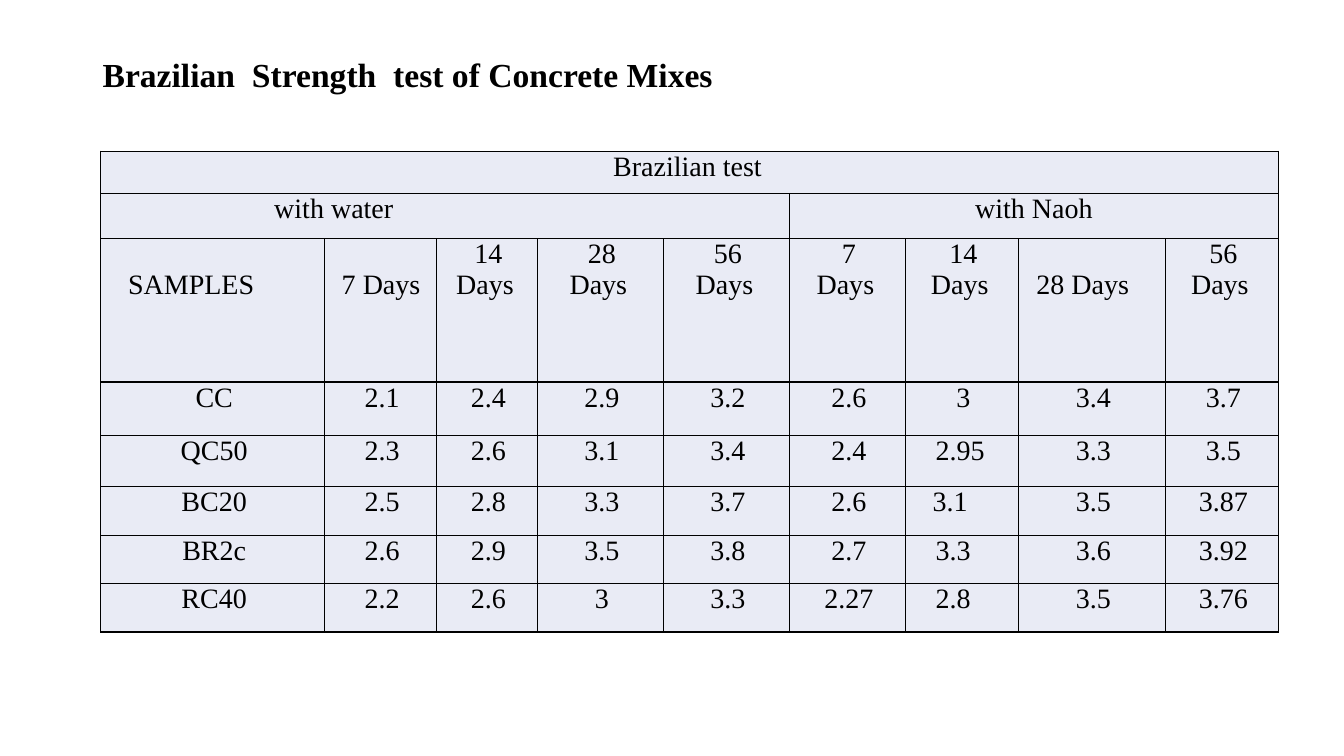
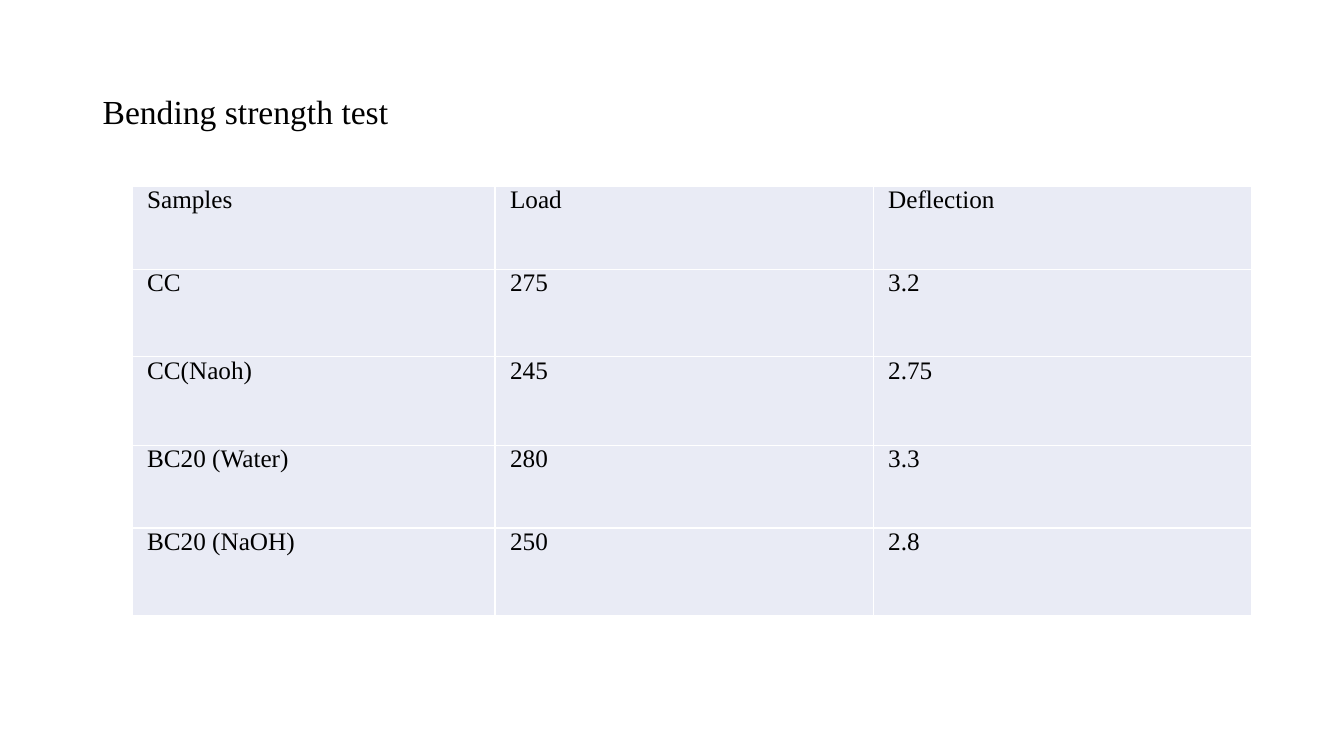
from dataclasses import dataclass

from lxml import etree
from pptx import Presentation
from pptx.dml.color import RGBColor
from pptx.enum.text import MSO_ANCHOR, PP_ALIGN
from pptx.oxml.ns import qn
from pptx.util import Inches, Pt

LEFT, CENTER = PP_ALIGN.LEFT, PP_ALIGN.CENTER
TOP, MIDDLE = MSO_ANCHOR.TOP, MSO_ANCHOR.MIDDLE

# Shared look
SLIDE_W, SLIDE_H = 13.33, 7.5
FONT = "Times New Roman"
INK, PAPER, CELL_FILL = "000000", "FFFFFF", "E9EBF5"
TITLE_BOX = (0.92, 0.4, 11.5, 1.45)
TITLE_SIZE = 24
INSET = 0.07
BORDER_PT = 1
BORDER_SIDES = ("lnL", "lnR", "lnT", "lnB")


@dataclass(frozen=True)
class Entry:
    """Cell text with its placing; span counts columns."""
    text: str
    align: int = CENTER
    indent: float = 0.03
    drop: float = 0
    span: int = 1


@dataclass(frozen=True)
class Grid:
    left: float
    top: float
    columns: list[float]
    rows: list[float]
    entries: list[list[Entry]]
    size: int
    border: str


@dataclass(frozen=True)
class Page:
    title: str
    bold: bool
    title_lift: float
    grid: Grid


def color(hex_value: str) -> RGBColor:
    return RGBColor.from_string(hex_value)


def style_text(paragraph, size: float, bold: bool = False) -> None:
    for name, value in {"name": FONT, "size": Pt(size), "bold": bold}.items():
        setattr(paragraph.font, name, value)
    paragraph.font.color.rgb = color(INK)


def add_title(slide, page: Page) -> None:
    frame = slide.shapes.add_textbox(*map(Inches, TITLE_BOX)).text_frame
    layout = {
        "word_wrap": True,
        "vertical_anchor": MIDDLE,
        "margin_bottom": Inches(0.05 + 2 * page.title_lift),
    }
    for name, value in layout.items():
        setattr(frame, name, value)
    heading = frame.paragraphs[0]
    heading.text = page.title
    heading.line_spacing = 0.9
    style_text(heading, TITLE_SIZE, page.bold)


def style_cell(cell, border: str) -> None:
    properties = cell._tc.get_or_add_tcPr()
    for side in BORDER_SIDES:
        line = etree.SubElement(properties, qn(f"a:{side}"), w=str(Pt(BORDER_PT)))
        fill = etree.SubElement(line, qn("a:solidFill"))
        etree.SubElement(fill, qn("a:srgbClr"), val=border)
    cell.fill.solid()
    cell.fill.fore_color.rgb = color(CELL_FILL)


def fill_cell(cell, entry: Entry, size: int) -> None:
    layout = {
        "text": entry.text,
        "vertical_anchor": TOP,
        "margin_left": Inches(INSET),
        "margin_right": Inches(INSET),
        "margin_top": Inches(entry.drop),
        "margin_bottom": 0,
    }
    for name, value in layout.items():
        setattr(cell, name, value)
    for paragraph in cell.text_frame.paragraphs:
        paragraph.alignment = entry.align
        # A paragraph indent keeps column widths free of the merged cells
        paragraph._p.get_or_add_pPr().set("marL", str(Inches(entry.indent)))
        style_text(paragraph, size)


def add_grid(slide, grid: Grid) -> None:
    bounds = (grid.left, grid.top, sum(grid.columns), sum(grid.rows))
    table = slide.shapes.add_table(
        len(grid.rows), len(grid.columns), *map(Inches, bounds)).table
    table.first_row = table.horz_banding = False
    for column, width in zip(table.columns, grid.columns):
        column.width = Inches(width)
    for row, height in zip(table.rows, grid.rows):
        row.height = Inches(height)
    for cell in table.iter_cells():
        style_cell(cell, grid.border)
    for r, entries in enumerate(grid.entries):
        c = 0
        for entry in entries:
            cell = table.cell(r, c)
            if entry.span > 1:
                cell.merge(table.cell(r, c + entry.span - 1))
            fill_cell(cell, entry, grid.size)
            c += entry.span


def left_row(*texts: str) -> list[Entry]:
    return [Entry(text, LEFT, 0.08) for text in texts]


def second_line(text: str, indent: float) -> Entry:
    return Entry(text, LEFT, indent, drop=0.3)


def stacked_days(*days: int) -> list[Entry]:
    return [Entry(f"{day}\nDays ") for day in days]


def sample_row(texts: str, naoh_14_indent: float | None = None) -> list[Entry]:
    """Centred results; the 14-day NaOH value may be left-aligned instead."""
    row = [Entry(text) for text in texts.split()]
    if naoh_14_indent is not None:
        row[6] = Entry(row[6].text, LEFT, naoh_14_indent)
    return row


# Content
BRAZILIAN = Grid(
    left=1, top=1.5,
    columns=[2.22, 1.11, 1, 1.25, 1.25, 1.15, 1.12, 1.46, 1.12],
    rows=[0.42, 0.45, 1.42, 0.53, 0.51, 0.48, 0.48, 0.48],
    entries=[
        [Entry("Brazilian test ", span=9)],
        [Entry("with water", LEFT, 1.65, span=5),
         Entry("with Naoh", indent=0, span=4)],
        [second_line("SAMPLES", 0.2), second_line("7 Days", 0.1),
         *stacked_days(14, 28, 56, 7, 14),
         second_line("28 Days", 0.11), *stacked_days(56)],
        sample_row("CC 2.1 2.4 2.9 3.2 2.6 3 3.4 3.7"),
        sample_row("QC50 2.3 2.6 3.1 3.4 2.4 2.95 3.3 3.5", 0.23),
        sample_row("BC20 2.5 2.8 3.3 3.7 2.6 3.1 3.5 3.87", 0.2),
        sample_row("BR2c 2.6 2.9 3.5 3.8 2.7 3.3 3.6 3.92", 0.23),
        sample_row("RC40 2.2 2.6 3 3.3 2.27 2.8 3.5 3.76", 0.23),
    ],
    size=20, border=INK,
)
BENDING = Grid(
    left=1.31, top=1.85,
    columns=[3.6, 3.75, 3.75],
    rows=[0.82, 0.87, 0.88, 0.82, 0.87],
    entries=[
        left_row("Samples", "Load", "Deflection"),
        left_row("CC", "275", "3.2"),
        left_row("CC(Naoh)", "245", "2.75"),
        left_row("BC20 (Water)", "280", "3.3"),
        left_row("BC20 (NaOH)", "250", "2.8"),
    ],
    size=18, border=PAPER,
)
PAGES = [
    Page("Brazilian  Strength  test of Concrete Mixes", True, 0.36, BRAZILIAN),
    Page("Bending strength test", False, 0, BENDING),
]


def main() -> None:
    deck = Presentation()
    deck.slide_width, deck.slide_height = Inches(SLIDE_W), Inches(SLIDE_H)
    blank = deck.slide_layouts[6]
    for page in PAGES:
        slide = deck.slides.add_slide(blank)
        add_title(slide, page)
        add_grid(slide, page.grid)
    deck.save("out.pptx")


if __name__ == "__main__":
    main()
